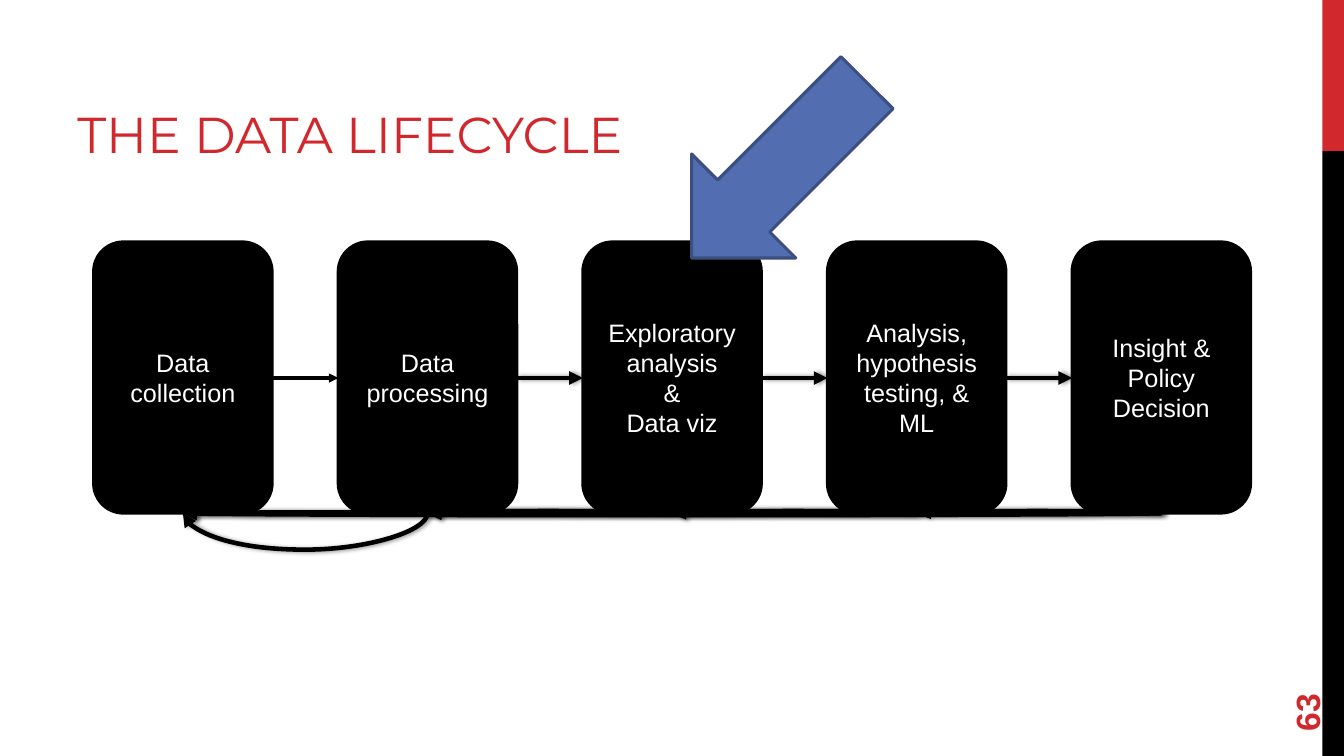
"""Build the data lifecycle slide."""
import dataclasses

import lxml.etree
import pptx
import pptx.dml.color
import pptx.enum.shapes
import pptx.enum.text
import pptx.oxml.ns
import pptx.util

SHAPE = pptx.enum.shapes.MSO_SHAPE
CONNECTOR = pptx.enum.shapes.MSO_CONNECTOR
ALIGN = pptx.enum.text.PP_ALIGN
ANCHOR = pptx.enum.text.MSO_ANCHOR
qn = pptx.oxml.ns.qn


@dataclasses.dataclass(frozen=True)
class Theme:
    """Colours, fonts, type sizes and line widths of the slide."""
    red: str = "D1282E"
    black: str = "000000"
    white: str = "FFFFFF"
    blue: str = "526DB0"
    navy: str = "3B4F80"
    heading_font: str = "Montserrat"
    body_font: str = "Arial"
    title_size: int = 36
    number_size: int = 24
    body_size: int = 18
    thin: float = 2.25
    thick: float = 3.25


def color(code):
    """Turn a hex code into a colour."""
    return pptx.dml.color.RGBColor.from_string(code)


def add_xml(parent, tag, **attributes):
    """Append a child element with the given attributes."""
    return lxml.etree.SubElement(parent, qn(tag), attributes)


def write(frame, text, font, size, ink, bold=False, align=ALIGN.LEFT, anchor=ANCHOR.MIDDLE):
    """Fill a text frame, one paragraph for each line of text."""
    frame.word_wrap = True
    frame.auto_size = pptx.enum.text.MSO_AUTO_SIZE.NONE
    frame.vertical_anchor = anchor
    for index, line in enumerate(text.split("\n")):
        para = frame.add_paragraph() if index else frame.paragraphs[0]
        para.alignment = align
        span = para.add_run()
        span.text = line
        span.font.name, span.font.size, span.font.bold = font, pptx.util.Pt(size), bold
        span.font.color.rgb = color(ink)


class Painter:
    """Draws on one slide, in a grid of 100 columns by 100 rows."""

    def __init__(self, deck, theme):
        """Add a title-only slide to the deck."""
        self.deck, self.theme = deck, theme
        self.page = deck.slides.add_slide(deck.slide_layouts[5])

    def place(self, column, row):
        """Convert grid units to slide lengths."""
        return round(self.deck.slide_width * column / 100), round(self.deck.slide_height * row / 100)

    def title(self, text, column, row, columns, rows):
        """Move and format the title placeholder."""
        box = self.page.shapes.title
        box.left, box.top = self.place(column, row)
        box.width, box.height = self.place(columns, rows)
        write(box.text_frame, text, self.theme.heading_font, self.theme.title_size,
              self.theme.red, anchor=ANCHOR.BOTTOM)

    def number(self, text, column, row, columns, rows):
        """Add the upright page number."""
        box = self.page.shapes.add_textbox(*self.place(column, row), *self.place(columns, rows))
        box.rotation = 270
        write(box.text_frame, text, self.theme.body_font, self.theme.number_size,
              self.theme.red, bold=True)

    def shape(self, kind, column, row, columns, rows, fill, line=None, text="", rotation=0):
        """Add a filled preset shape."""
        box = self.page.shapes.add_shape(kind, *self.place(column, row), *self.place(columns, rows))
        box.shadow.inherit = False
        box.rotation = rotation
        box.fill.solid()
        box.fill.fore_color.rgb = color(fill)
        if line:
            box.line.color.rgb = color(line)
            box.line.width = pptx.util.Pt(self.theme.thin)
        else:
            box.line.fill.background()
        if text:
            write(box.text_frame, text, self.theme.body_font, self.theme.body_size,
                  self.theme.white, align=ALIGN.CENTER)

    def finish(self, connector, width, shadow):
        """Give a connector its line, arrowhead and shadow."""
        connector.line.color.rgb = color(self.theme.black)
        connector.line.width = pptx.util.Pt(width)
        properties = connector.element.spPr
        add_xml(properties.find(qn("a:ln")), "a:tailEnd", type="triangle")
        effects = add_xml(properties, "a:effectLst")
        if shadow:
            outer = add_xml(effects, "a:outerShdw", blurRad="40000", dist="23000", dir="0",
                            rotWithShape="0")
            add_xml(add_xml(outer, "a:srgbClr", val=self.theme.black), "a:alpha", val="40000")

    def arrow(self, start, end, row, width, shadow):
        """Add a straight arrow along a row."""
        connector = self.page.shapes.add_connector(
            CONNECTOR.STRAIGHT, *self.place(start, row), *self.place(end, row))
        self.finish(connector, width, shadow)

    def loop(self, start, end, row, bend):
        """Add a curved arrow that runs back from start to end below a row."""
        depth = 360
        middle, base = self.place((start + end) / 2, row)
        reach = self.place(start - end, 0)[0]
        left, top = middle - depth // 2, base - reach // 2
        connector = self.page.shapes.add_connector(
            CONNECTOR.CURVE, left, top, left + depth, top + reach)
        properties = connector.element.spPr
        properties.find(qn("a:xfrm")).set("rot", "5400000")
        guides = properties.find(qn("a:prstGeom")).find(qn("a:avLst"))
        add_xml(guides, "a:gd", name="adj1", fmla=f"val {round(bend * 100000)}")
        self.finish(connector, self.theme.thick, True)


STAGES = ["Data collection", "Data processing", "Exploratory analysis\n&\nData viz",
          "Analysis, hypothesis testing, & ML", "Insight & Policy Decision"]
BENDS = {1: [461.32], 2: [-25.51, -9.75], 3: [-25.51, -8.69, 7.07],
         4: [-25.51, -11.85, 8.12, 27.04]}
FIRST, PITCH, STAGE_WIDTH = 6.97, 18.2, 13.28
STAGE_TOP, STAGE_HEIGHT = 32, 35.87


def draw_stages(painter):
    """Draw the five stages with their forward and backward arrows."""
    theme = painter.theme
    bottom = STAGE_TOP + STAGE_HEIGHT
    for index, text in enumerate(STAGES):
        left = FIRST + index * PITCH
        center = left + STAGE_WIDTH / 2
        painter.shape(SHAPE.ROUNDED_RECTANGLE, left, STAGE_TOP, STAGE_WIDTH, STAGE_HEIGHT,
                      theme.black, theme.black, text)
        if index:
            later = index > 1
            painter.arrow(left - PITCH + STAGE_WIDTH, left, 50,
                          theme.thick if later else theme.thin, later)
        for steps, bend in enumerate(BENDS.get(index, []), 1):
            painter.loop(center, center - steps * PITCH, bottom, bend)


def main():
    """Build and save the deck."""
    deck = pptx.Presentation()
    deck.slide_width, deck.slide_height = pptx.util.Inches(13.33), pptx.util.Inches(7.5)
    theme = Theme()
    painter = Painter(deck, theme)
    painter.shape(SHAPE.RECTANGLE, 98.4, 0, 1.6, 20, theme.red)
    painter.shape(SHAPE.RECTANGLE, 98.4, 20, 1.6, 80, theme.black)
    painter.title("THE DATA LIFECYCLE", 5, 2.27, 63.3, 20)
    painter.number("63", 91.82, 84.93, 10.8, 7.07)
    draw_stages(painter)
    painter.shape(SHAPE.RIGHT_ARROW, 48.76, 12.8, 18.45, 19.47, theme.blue, theme.navy,
                  rotation=135)
    deck.save("out.pptx")


main()
